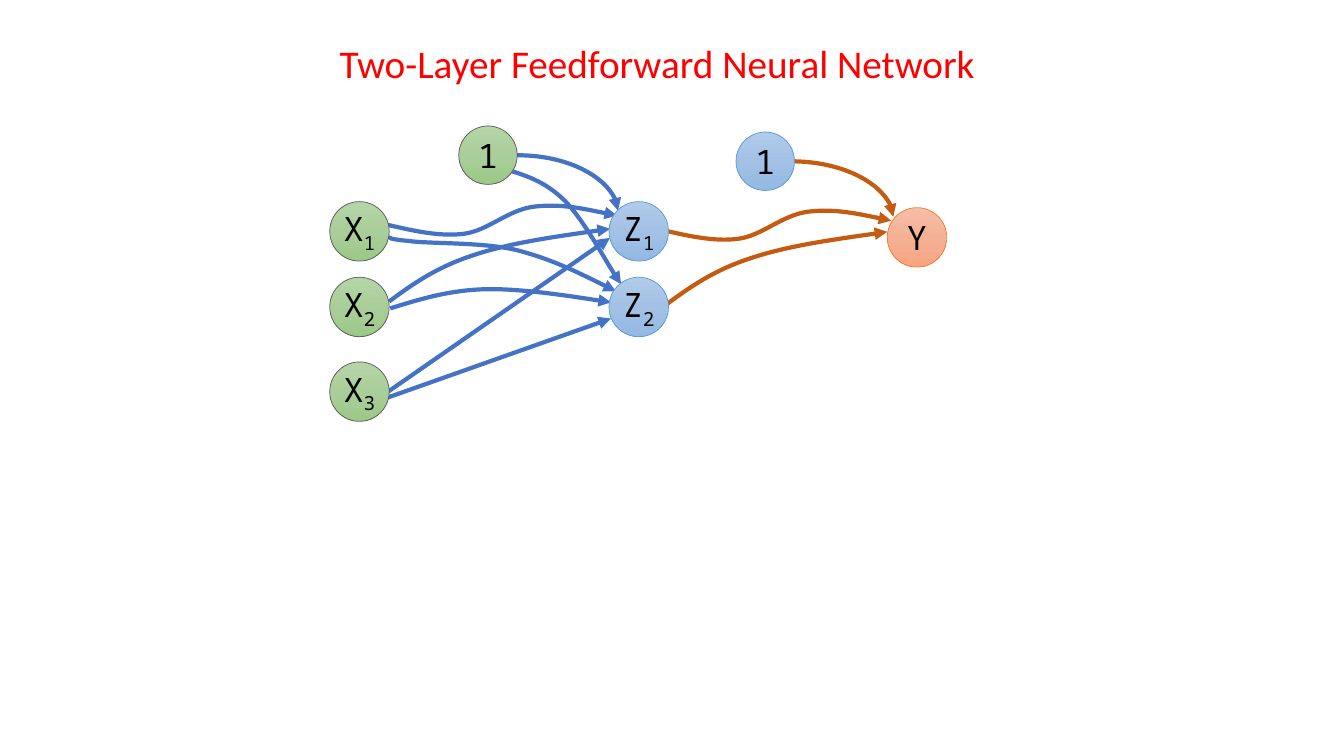
"""Draw a two-layer feedforward neural network on one slide."""
from copy import deepcopy
from dataclasses import dataclass

from lxml.etree import SubElement
from pptx import Presentation
from pptx.dml.color import RGBColor
from pptx.enum.shapes import MSO_CONNECTOR as Connector, MSO_SHAPE as Preset
from pptx.enum.text import MSO_ANCHOR as Anchor, MSO_AUTO_SIZE as AutoSize, PP_ALIGN as Align
from pptx.oxml.ns import qn
from pptx.util import Inches, Pt

COLORS = {"title": "FF0000", "text": "000000", "hidden_edge": "4472C4", "output_edge": "C55A11"}
LAYERS = {
    "input": (("B5D5A7", "AACE9A", "9CC987"), "595959"),
    "hidden": (("B1CBE9", "A3C1E5", "93B9E4"), "5B9BD5"),
    "output": (("F7BDA5", "F5B196", "F8A582"), "ED7D31"),
}
Points = tuple[tuple[float, float], ...]


@dataclass
class Node:
    name: str
    subscript: str
    layer: str
    left: float
    top: float
    size: float = 0.59


@dataclass
class Link:
    kind: Connector
    start: tuple[float, float]
    end: tuple[float, float]
    color: str = "hidden_edge"


@dataclass
class Curve:
    points: Points
    color: str = "hidden_edge"


def shifted(points: Points, right: float, down: float) -> Points:
    return tuple((x + right, y + down) for x, y in points)


WAVE = ((3.84, 2.23), (4.1, 2.29), (4.36, 2.35), (4.6, 2.32),
        (4.84, 2.29), (5.04, 2.08), (5.3, 2.05), (5.55, 2.02), (5.84, 2.08), (6.12, 2.14))
RISE = ((3.86, 2.99), (4.09, 2.82), (4.33, 2.65), (4.7, 2.53),
        (5.06, 2.41), (5.56, 2.34), (6.05, 2.27))
BIAS_TO_Z2 = ((5.05, 1.69), (5.24, 1.75), (5.42, 1.81), (5.61, 2),
              (5.79, 2.19), (6.07, 2.7), (6.16, 2.82))
X1_TO_Z2 = ((3.87, 2.34), (3.86, 2.36), (3.84, 2.37), (4.05, 2.39),
            (4.26, 2.42), (4.78, 2.4), (5.12, 2.48), (5.47, 2.57), (5.79, 2.73), (6.11, 2.89))
X2_TO_Z2 = ((3.87, 3.06), (4.16, 2.97), (4.45, 2.88), (4.81, 2.87),
            (5.18, 2.86), (6.06, 3), (6.06, 3))

LINKS = (
    Link(Connector.STRAIGHT, (3.8, 3.96), (6.06, 3.16)),
    Link(Connector.STRAIGHT, (3.8, 3.92), (6.05, 2.36)),
    Link(Connector.CURVE, (5.13, 1.54), (6.13, 2.09)),
    Link(Connector.CURVE, (7.84, 1.6), (8.86, 2.15), "output_edge"),
)
CURVES = (
    Curve(BIAS_TO_Z2),
    Curve(WAVE),
    Curve(X1_TO_Z2),
    Curve(RISE),
    Curve(X2_TO_Z2),
    Curve(shifted(WAVE, 2.72, 0.05), "output_edge"),
    Curve(shifted(RISE, 2.75, 0.03), "output_edge"),
)
NODES = (
    Node("X", "1", "input", 3.27, 2),
    Node("1", "", "input", 4.55, 1.25, 0.58),
    Node("X", "2", "input", 3.27, 2.75),
    Node("Z", "1", "hidden", 6.04, 2),
    Node("1", "", "hidden", 7.3, 1.31, 0.58),
    Node("Z", "2", "hidden", 6.04, 2.75),
    Node("Y", "", "output", 8.8, 2.06),
    Node("X", "3", "input", 3.27, 3.59),
)


def add_run(paragraph, text: str, *, font: str, size: float, color: str, baseline: int = 0) -> None:
    run = paragraph.add_run()
    run.text = text
    run.font.name, run.font.size = font, Pt(size)
    run.font.color.rgb = RGBColor.from_string(COLORS[color])
    if baseline:
        run._r.get_or_add_rPr().set("baseline", str(baseline * 1000))


def style_arrow(shape, color: str) -> None:
    shape.line.color.rgb = RGBColor.from_string(COLORS[color])
    shape.line.width = Pt(3)
    SubElement(shape.line._get_or_add_ln(), qn("a:tailEnd"), type="triangle")
    SubElement(shape._element.spPr, qn("a:effectLst"))


def add_link(slide, link: Link) -> None:
    ends = [Inches(value) for value in link.start + link.end]
    connector = slide.shapes.add_connector(link.kind, *ends)
    if link.kind == Connector.CURVE:
        connector._element.spPr.find(qn("a:prstGeom")).set("prst", "curvedConnector2")
    style_arrow(connector, link.color)


def add_curve(slide, curve: Curve) -> None:
    first, *others = [(Inches(x), Inches(y)) for x, y in curve.points]
    builder = slide.shapes.build_freeform(*first)
    builder.add_line_segments(others, close=False)
    shape = builder.convert_to_shape()
    outline = next(shape._element.iter(qn("a:path")))
    segments = outline.findall(qn("a:lnTo"))
    for index in range(0, len(segments), 3):
        bezier = SubElement(outline, qn("a:cubicBezTo"))
        for segment in segments[index:index + 3]:
            bezier.append(segment[0])
            outline.remove(segment)
    shape.fill.background()
    style_arrow(shape, curve.color)


def add_node(slide, node: Node) -> None:
    fills, border = LAYERS[node.layer]
    box = [Inches(value) for value in (node.left, node.top, node.size, node.size)]
    shape = slide.shapes.add_shape(Preset.OVAL, *box)
    shape.shadow.inherit = False
    shape.fill.gradient()
    shape.fill.gradient_angle = 270
    stop_list = next(shape._element.iter(qn("a:gsLst")))
    stop_list.insert(1, deepcopy(stop_list[0]))
    for index, (stop, color) in enumerate(zip(shape.fill.gradient_stops, fills)):
        stop.position = index / 2
        stop.color.rgb = RGBColor.from_string(color)
    shape.line.color.rgb = RGBColor.from_string(border)
    shape.line.width = Pt(0.5)
    frame = shape.text_frame
    frame.margin_left = frame.margin_right = frame.margin_top = frame.margin_bottom = 0
    frame.vertical_anchor = Anchor.MIDDLE
    paragraph = frame.paragraphs[0]
    paragraph.alignment = Align.CENTER
    label = {"font": "Noto Sans Mono", "size": 24, "color": "text"}
    add_run(paragraph, node.name, **label)
    if node.subscript:
        add_run(paragraph, node.subscript, baseline=-25, **label)


def add_title(slide, text: str) -> None:
    title = slide.shapes.add_textbox(Inches(3.27), Inches(0.34), Inches(6.57), Inches(0.57))
    title.text_frame.word_wrap = False
    title.text_frame.auto_size = AutoSize.SHAPE_TO_FIT_TEXT
    add_run(title.text_frame.paragraphs[0], text, font="Calibri", size=28, color="title")


def main() -> None:
    presentation = Presentation()
    presentation.slide_width, presentation.slide_height = Inches(13.33), Inches(7.5)
    slide = presentation.slides.add_slide(presentation.slide_layouts[6])
    add_title(slide, "Two-Layer Feedforward Neural Network")
    for link in LINKS:
        add_link(slide, link)
    for curve in CURVES:
        add_curve(slide, curve)
    for node in NODES:
        add_node(slide, node)
    presentation.save("out.pptx")


if __name__ == "__main__":
    main()
